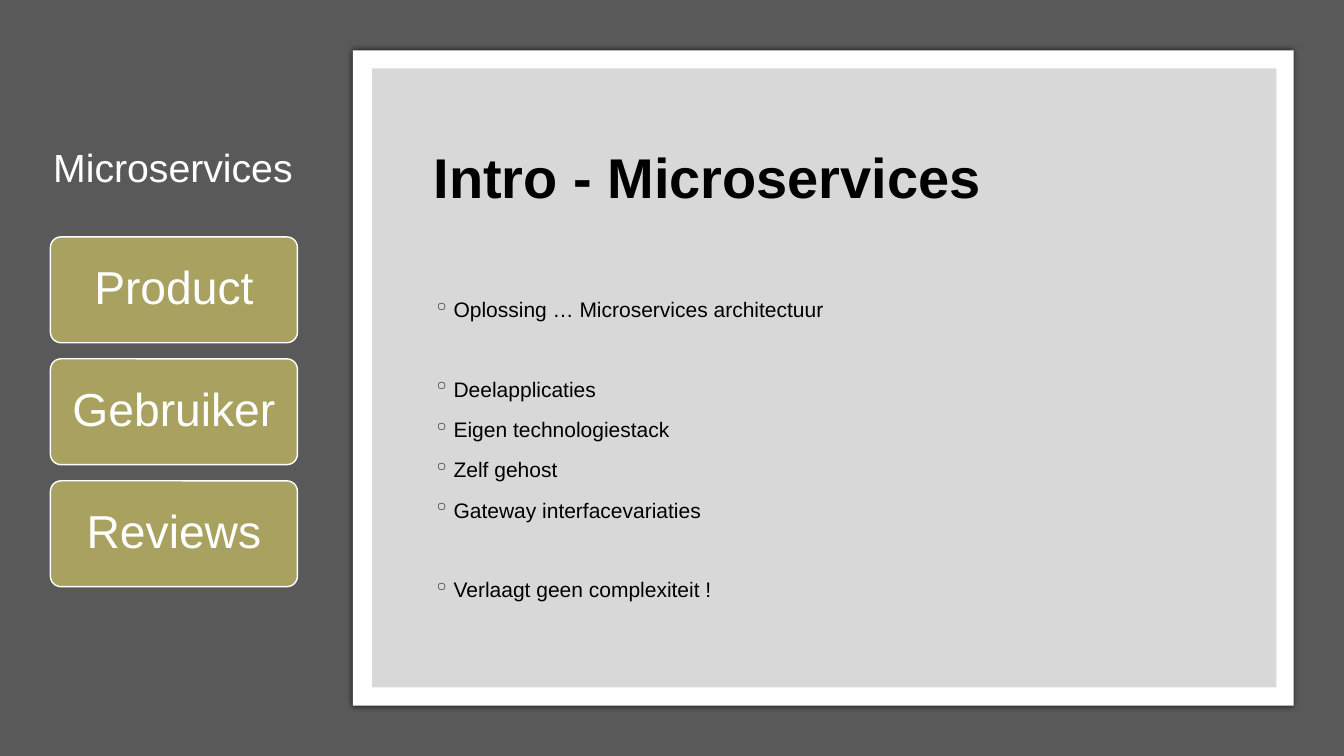
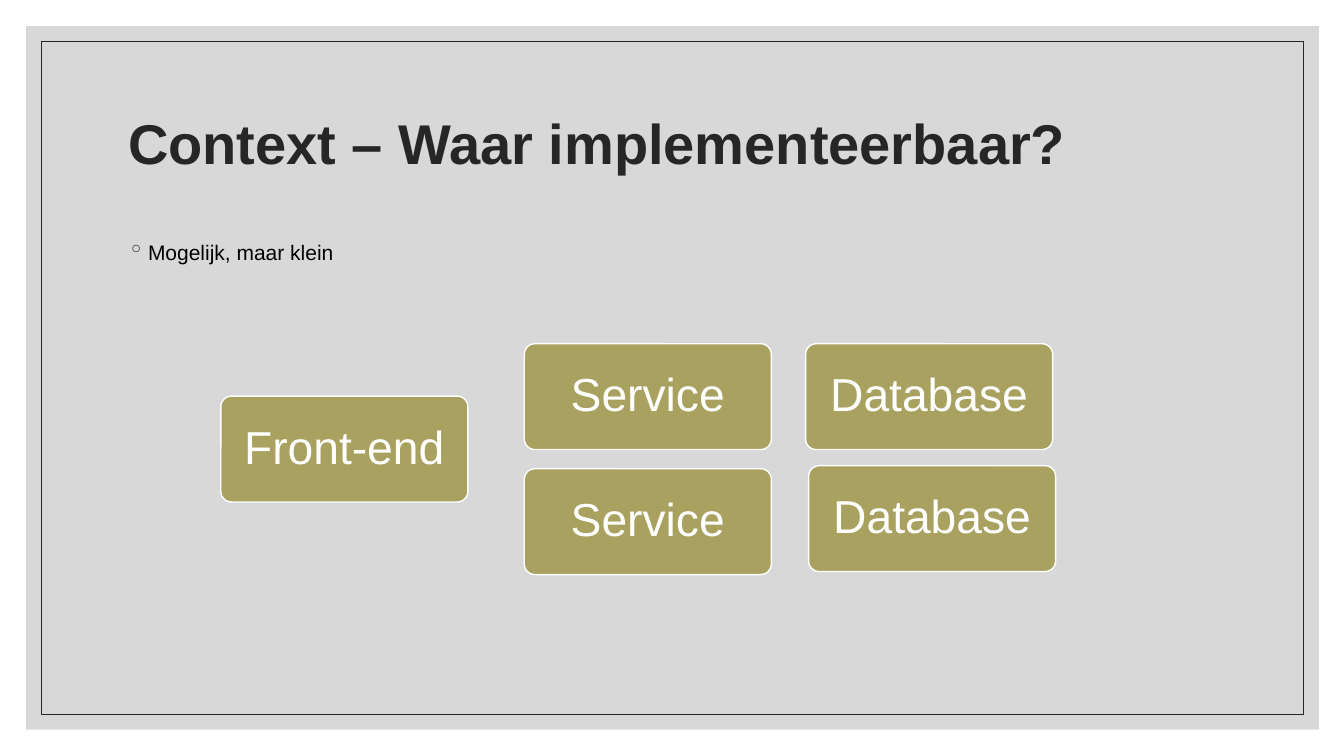
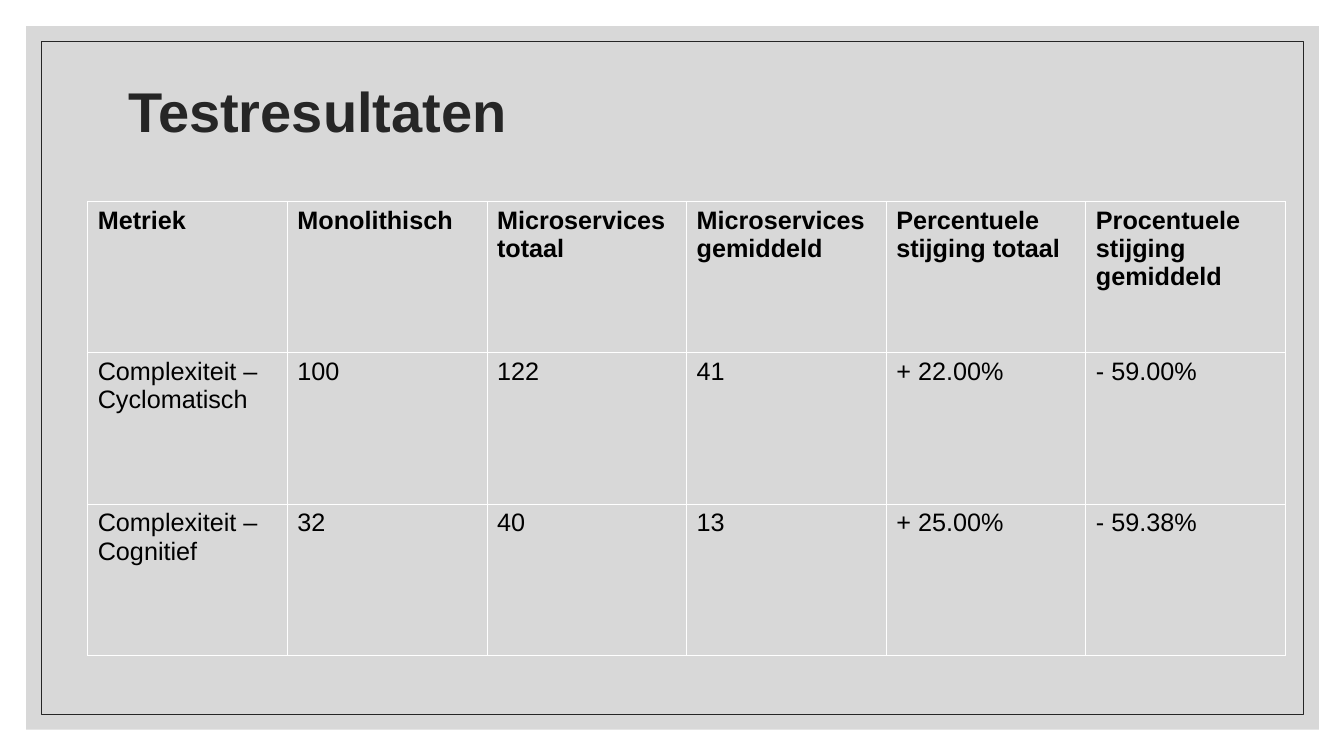
from lxml import etree
from pptx import Presentation
from pptx.dml.color import RGBColor
from pptx.enum.shapes import MSO_SHAPE
from pptx.enum.text import MSO_ANCHOR, MSO_AUTO_SIZE, PP_ALIGN
from pptx.oxml import parse_xml
from pptx.oxml.ns import qn
from pptx.util import Pt

RECT, ROUNDED = MSO_SHAPE.RECTANGLE, MSO_SHAPE.ROUNDED_RECTANGLE
LEFT, CENTER = PP_ALIGN.LEFT, PP_ALIGN.CENTER
TOP, MIDDLE = MSO_ANCHOR.TOP, MSO_ANCHOR.MIDDLE
FIXED = MSO_AUTO_SIZE.NONE

PX = 9144  # 100 px to the inch
FONT = "Arial"
BLACK, WHITE, INK = "000000", "FFFFFF", "262626"
SLATE, GRAY, OLIVE = "595959", "BFBFBF", "A8A15F"
NS = 'xmlns:a="http://schemas.openxmlformats.org/drawingml/2006/main"'
rgb = RGBColor.from_string


def write(frame, text, size, color=BLACK, bold=False, align=LEFT, anchor=TOP,
          wrap=True, spacing=None, before=0, bullet=None):
    """Fill a text frame, one paragraph for each line of text."""
    frame.text = text
    frame.word_wrap = wrap
    frame.vertical_anchor = anchor
    for paragraph in frame.paragraphs:
        paragraph.alignment = align
        paragraph.space_before = Pt(before)
        if spacing:
            paragraph.line_spacing = spacing
        font = paragraph.runs[0].font
        font.name, font.size, font.bold = FONT, Pt(size), bold
        font.color.rgb = rgb(color)
        if bullet:
            props = paragraph._p.get_or_add_pPr()
            props.set("marL", str(20 * PX))
            props.set("indent", str(-20 * PX))
            bullet_color = etree.SubElement(props, qn("a:buClr"))
            etree.SubElement(bullet_color, qn("a:srgbClr"), val=INK)
            etree.SubElement(props, qn("a:buChar"), char=bullet)


def panel(slide, box, fill=None, opacity=100, line=None, width=1, kind=RECT):
    shape = slide.shapes.add_shape(kind, *[v * PX for v in box])
    shape.shadow.inherit = False
    if fill:
        shape.fill.solid()
        shape.fill.fore_color.rgb = rgb(fill)
        if opacity < 100:
            tint = shape._element.spPr.find(".//" + qn("a:srgbClr"))
            etree.SubElement(tint, qn("a:alpha"), val=str(opacity * 1000))
    else:
        shape.fill.background()
    if line:
        shape.line.color.rgb = rgb(line)
        shape.line.width = Pt(width)
    else:
        shape.line.fill.background()
    return shape


prs = Presentation()
prs.slide_width, prs.slide_height = 1333 * PX, 750 * PX
title_only = prs.slide_layouts[5]
intro, context, results = [prs.slides.add_slide(title_only) for _ in range(3)]

# Backdrops
panel(intro, (0, 0, 1333, 750), SLATE)
card = panel(intro, (350, 50, 933, 650), WHITE)
card._element.spPr.find(qn("a:effectLst")).append(parse_xml(
    f'<a:outerShdw {NS} blurRad="{Pt(4)}" dist="0" algn="ctr" rotWithShape="0">'
    f'<a:srgbClr val="{BLACK}"><a:alpha val="66000"/></a:srgbClr></a:outerShdw>'))
panel(intro, (369, 68, 897, 614), GRAY, opacity=60)
for slide in (context, results):
    panel(slide, (26, 26, 1282, 698), GRAY, opacity=60)
    panel(slide, (41, 41, 1252, 668), line=INK, width=0.5)

# Titles, raised above the backdrops
for slide, heading, box, color in (
    (intro, "Intro - Microservices", (420, 96, 811, 166), BLACK),
    (context, "Context – Waar implementeerbaar?", (117, 70, 1100, 150), INK),
    (results, "Testresultaten", (117, 70, 1100, 86), INK),
):
    title = slide.shapes.title
    title.left, title.top, title.width, title.height = [v * PX for v in box]
    write(title.text_frame, heading, 40, color, bold=True, anchor=MIDDLE, spacing=0.9)
    title.text_frame.auto_size = FIXED
    slide.shapes._spTree.append(title._element)

# Bullet lists
intro_points = """Oplossing … Microservices architectuur
Deelapplicaties
Eigen technologiestack
Zelf gehost
Gateway interfacevariaties
Verlaagt geen complexiteit !"""
for slide, points, box, group_starts in (
    (intro, intro_points, (420, 287, 792, 342), (1, 5)),
    (context, "Mogelijk, maar klein", (117, 230, 1100, 421), ()),
):
    body = slide.shapes.add_textbox(*[v * PX for v in box]).text_frame
    write(body, points, 15, spacing=1.1, before=9, bullet="◦")
    for start in group_starts:
        body.paragraphs[start].space_before = Pt(37)

# Service blocks
for slide, label, left, top in (
    (intro, "Product", 50, 235),
    (intro, "Gebruiker", 50, 356),
    (intro, "Reviews", 50, 477),
    (context, "Front-end", 219, 393),
    (context, "Service", 520, 465),
    (context, "Service", 520, 341),
    (context, "Database", 802, 462),
    (context, "Database", 799, 341),
):
    block = panel(slide, (left, top, 245, 105), OLIVE, line=WHITE, kind=ROUNDED)
    block.adjustments[0] = 0.1
    write(block.text_frame, label, 33, WHITE, align=CENTER, anchor=MIDDLE, spacing=0.9)

caption = intro.shapes.add_textbox(43 * PX, 137 * PX, 264 * PX, 57 * PX)
write(caption.text_frame, "Microservices", 28, WHITE, wrap=False)

# Test results
metrics = (
    ("Metriek", "Monolithisch", "Microservices totaal", "Microservices gemiddeld",
     "Percentuele stijging totaal", "Procentuele\nstijging gemiddeld"),
    ("Complexiteit –Cyclomatisch", "100", "122", "41", "+ 22.00%", "- 59.00%"),
    ("Complexiteit – Cognitief", "32", "40", "13", "+ 25.00%", "- 59.38%"),
)
table = results.shapes.add_table(
    len(metrics), len(metrics[0]), 87 * PX, 200 * PX, 1188 * PX, 450 * PX).table
table.horz_banding = False
for r, row in enumerate(metrics):
    for c, value in enumerate(row):
        cell = table.cell(r, c)
        write(cell.text_frame, value, 18, bold=r == 0)
        for side in ("lnL", "lnR", "lnT", "lnB"):
            cell._tc.get_or_add_tcPr().append(parse_xml(
                f'<a:{side} {NS} w="{Pt(0.75)}"><a:solidFill>'
                f'<a:srgbClr val="{WHITE}"/></a:solidFill></a:{side}>'))
        cell.fill.background()

prs.save("out.pptx")
